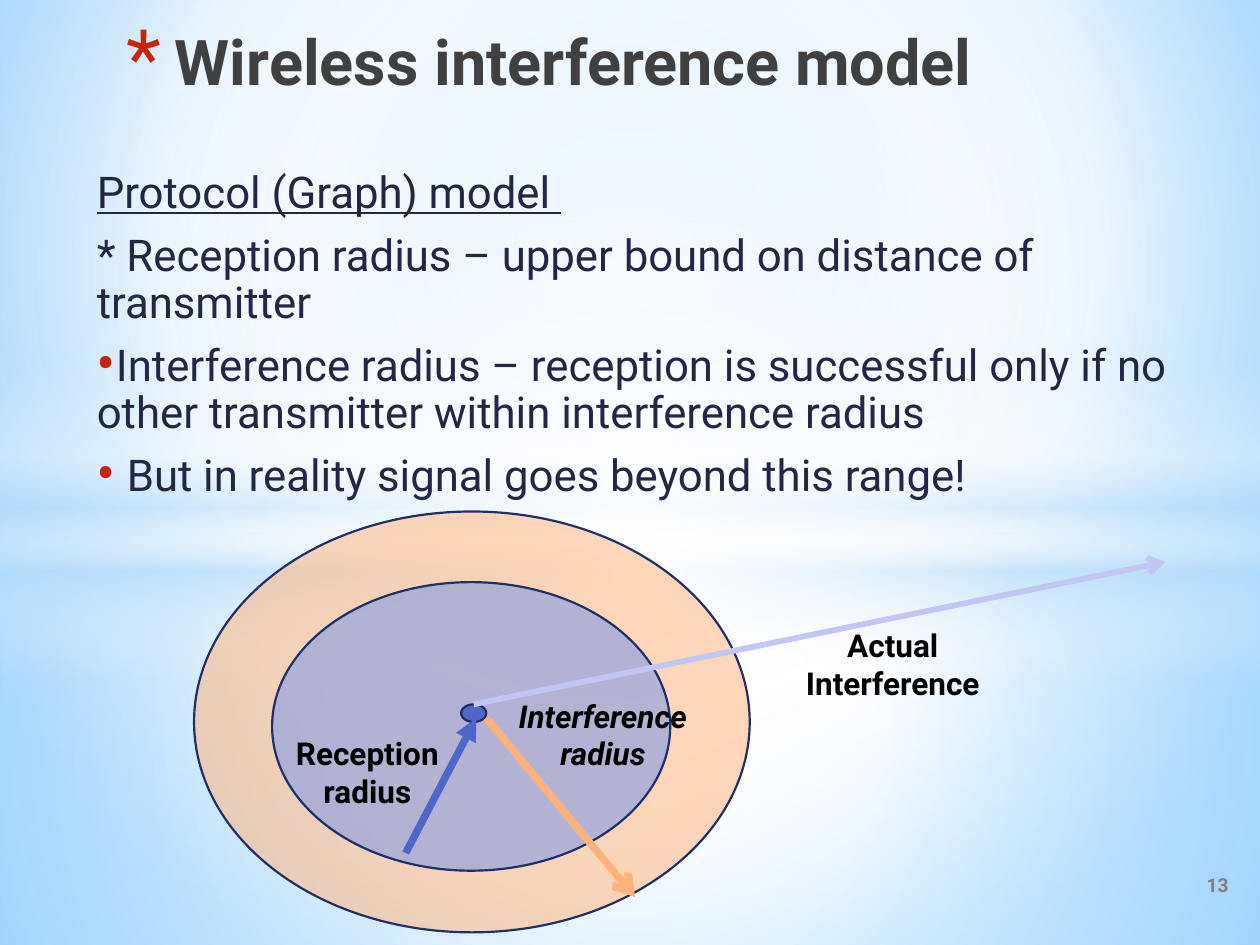
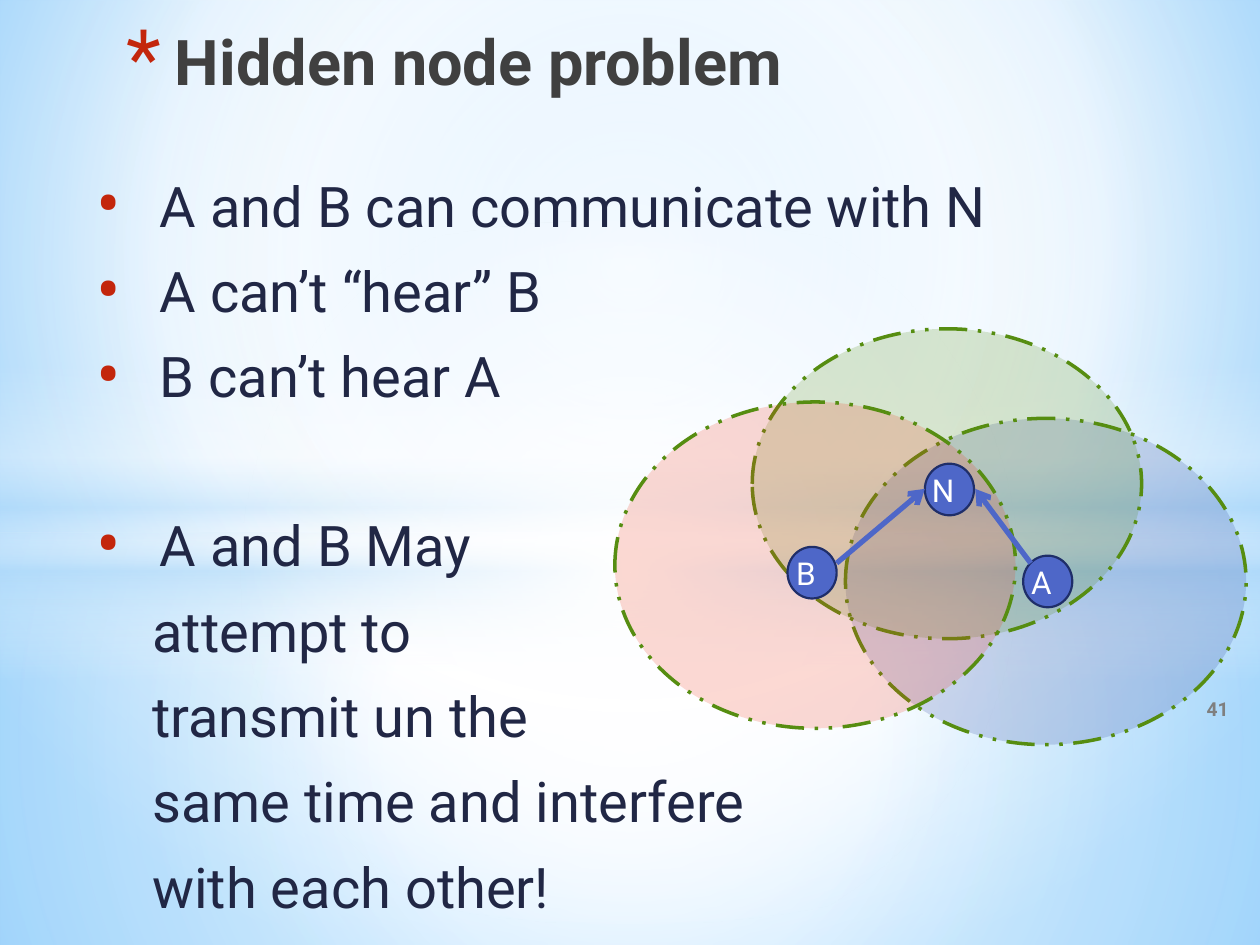
"""Builds two slides on wireless interference and the hidden node problem."""
from lxml import etree
from pptx import Presentation
from pptx.dml.color import RGBColor
from pptx.enum.dml import MSO_LINE
from pptx.enum.shapes import MSO_CONNECTOR, MSO_SHAPE
from pptx.enum.text import MSO_ANCHOR, PP_ALIGN
from pptx.oxml.ns import qn
from pptx.util import Inches, Pt

OVAL, RECTANGLE = MSO_SHAPE.OVAL, MSO_SHAPE.RECTANGLE
STRAIGHT = MSO_CONNECTOR.STRAIGHT
DASHES = MSO_LINE.DASH_DOT_DOT
LEFT, CENTER, RIGHT = PP_ALIGN.LEFT, PP_ALIGN.CENTER, PP_ALIGN.RIGHT
TOP, MIDDLE = MSO_ANCHOR.TOP, MSO_ANCHOR.MIDDLE

FONT = "Roboto"
COLORS = {
    "sky": "9ED5FF", "deep_sky": "5BB9FF", "mist": "B4DCFA", "white": "FFFFFF",
    "title": "404040", "body": "212745", "bullet": "C3260C", "black": "000000",
    "number": "7F7F7F", "node": "4E67C8", "outline": "1F2E69",
    "orange": "FFB37A", "lavender": "95A4DE", "pale": "C1C7F2",
    "navy": "31489F", "green": "568D11", "red": "F14124",
}
CENTERED = (50, 50, 50, 50)
BACKGROUND = [(0, "sky", 100), (60, "white", 100), (100, "deep_sky", 100)]
BACKGROUND_FOCUS = (20, 10, 20, 60)
LAYERS = [
    (RECTANGLE, (0, 4.23, 10, 3.27), CENTERED,
     [(0, "white", 91), (37, "white", 76), (100, "mist", 79)]),
    (RECTANGLE, (0, 0, 10, 4.23), CENTERED,
     [(0, "white", 89), (48, "white", 62), (100, "mist", 79)]),
    (RECTANGLE, (0, 2.9, 10, 2.5), None,
     [(0, "white", 0), (29, "white", 30), (45, "mist", 40),
      (55, "white", 26), (65, "mist", 60), (100, "white", 0)]),
    (OVAL, (0, 1.75, 10, 5.58), CENTERED,
     [(0, "white", 100), (54, "white", 0)]),
]
TITLE_BOX = (0.91, 0.13, 8.27, 1.1)
BODY_BOX = (0.67, 1.31, 8.98, 3.23)

MODEL = {
    "title": "Wireless interference model",
    "number": ("13", (6.18, 6.82, 3.67, 0.4)),
    "size": 25, "line_spacing": 0.9, "hanging": 0, "continuation": 0,
    "body": [
        ("Protocol (Graph) model ", False),
        ("* Reception radius – upper bound on distance of transmitter", False),
        ("Interference radius – reception is successful only if no other "
         "transmitter within interference radius", True),
        (" But in reality signal goes beyond this range!", True),
    ],
}
RANGES = [
    ((1.54, 4.06, 4.41, 3.34), "orange", 52),
    ((2.16, 4.62, 3.16, 2.29), "lavender", 70),
    ((3.66, 5.59, 0.2, 0.14), "node", 100),
]
RADIUS_ARROWS = [
    ((3.22, 6.77), (3.78, 5.7), "node", 4.25, "triangle"),
    ((3.86, 5.7), (5.04, 7.12), "orange", 4.25, "arrow"),
    ((3.76, 5.59), (9.25, 4.46), "pale", 3.25, "arrow"),
]
RADIUS_LABELS = [
    (["Reception", "radius"], (2.19, 5.78, 1.45, 0.7), False),
    (["Interference", "radius"], (3.94, 5.48, 1.69, 0.7), True),
    (["Actual", "Interference"], (6.24, 4.92, 1.69, 0.7), False),
]

HIDDEN_NODE = {
    "title": "Hidden node problem",
    "number": ("41", (6.98, 5.46, 2.87, 0.33)),
    "size": 32, "line_spacing": 1, "hanging": 0.5, "continuation": 0.44,
    "body": [
        ("A and B can communicate with N", True),
        ("A can’t “hear” B", True),
        ("B can’t hear A", True),
        ("A and B May", True),
        ("attempt to", False),
        ("transmit un the", False),
        ("same time and interfere", False),
        ("with each other!", False),
    ],
}
CONCLUSION_INDEX = 3
CELLS = [
    ((6.71, 3.32, 3.18, 2.59), "navy"),
    ((5.97, 2.61, 3.09, 2.46), "green"),
    ((4.88, 3.19, 3.18, 2.59), "red"),
]
NODE_SIZE = (0.39, 0.41)
NODES = [("A", 8.12, 4.41), ("B", 6.25, 4.34), ("N", 7.34, 3.68)]
NODE_ARROWS = [((6.64, 4.47), (7.34, 3.88)), ((8.18, 4.47), (7.74, 3.88))]


def rgb(name):
    return RGBColor.from_string(COLORS[name])


def add_element(parent, tag, **attributes):
    element = etree.SubElement(parent, qn(tag))
    for key, value in attributes.items():
        element.set(key, str(value))
    return element


def apply_gradient(owner, fill, stops, focus):
    fill.gradient()
    gradient = owner.element.xpath(".//a:gradFill")[0]
    gradient.clear()
    gradient.set("rotWithShape", "1")
    stop_list = add_element(gradient, "a:gsLst")
    for position, color, opacity in stops:
        stop = add_element(stop_list, "a:gs", pos=position * 1000)
        value = add_element(stop, "a:srgbClr", val=COLORS[color])
        if opacity < 100:
            add_element(value, "a:alpha", val=opacity * 1000)
    if focus:
        sides = {side: part * 1000 for side, part in zip("ltrb", focus)}
        add_element(add_element(gradient, "a:path", path="circle"), "a:fillToRect", **sides)
    else:
        add_element(gradient, "a:lin", ang=90 * 60000, scaled=0)


def add_plain_shape(slide, kind, box):
    shape = slide.shapes.add_shape(kind, *map(Inches, box))
    shape.shadow.inherit = False
    return shape


def add_oval(slide, box, color, opacity=100, outline="outline", width=1.25):
    shape = add_plain_shape(slide, OVAL, box)
    shape.fill.solid()
    shape.fill.fore_color.rgb = rgb(color)
    if opacity < 100:
        value = shape.element.xpath("./p:spPr/a:solidFill/a:srgbClr")[0]
        add_element(value, "a:alpha", val=opacity * 1000)
    shape.line.color.rgb = rgb(outline)
    shape.line.width = Pt(width)
    return shape


def add_arrow(slide, start, end, color, width, head):
    connector = slide.shapes.add_connector(STRAIGHT, *map(Inches, start + end))
    connector.line.color.rgb = rgb(color)
    connector.line.width = Pt(width)
    line = connector.element.xpath("./p:spPr/a:ln")[0]
    add_element(line, "a:tailEnd", type=head)
    add_element(connector.element.spPr, "a:effectLst")


def write_lines(shape, lines, size, color, align=LEFT, bold=False, anchor=TOP):
    frame = shape.text_frame
    frame.word_wrap = True
    frame.vertical_anchor = anchor
    frame.text = "\n".join(lines)
    for paragraph in frame.paragraphs:
        paragraph.alignment = align
        for run in paragraph.runs:
            run.font.name = FONT
            run.font.size = Pt(size)
            run.font.bold = bold
            run.font.color.rgb = rgb(color)
    return frame.paragraphs


def add_text(slide, box, lines, size, color, **options):
    shape = slide.shapes.add_textbox(*map(Inches, box))
    return write_lines(shape, lines, size, color, **options)


def set_indent(paragraph, margin, hanging=0):
    properties = paragraph._p.get_or_add_pPr()
    properties.set("marL", str(Inches(margin)))
    properties.set("indent", str(-Inches(hanging)))
    return properties


def add_bullet(paragraph, character, percent, hanging):
    properties = set_indent(paragraph, hanging, hanging)
    add_element(add_element(properties, "a:buClr"), "a:srgbClr", val=COLORS["bullet"])
    add_element(properties, "a:buSzPct", val=percent * 1000)
    add_element(properties, "a:buFont", typeface=FONT)
    add_element(properties, "a:buChar", char=character)


def add_base_slide(presentation, content):
    slide = presentation.slides.add_slide(presentation.slide_layouts[6])
    apply_gradient(slide, slide.background.fill, BACKGROUND, BACKGROUND_FOCUS)
    for kind, box, focus, stops in LAYERS:
        layer = add_plain_shape(slide, kind, box)
        layer.line.fill.background()
        apply_gradient(layer, layer.fill, stops, focus)

    size = content["size"]
    lines = [line for line, _ in content["body"]]
    paragraphs = add_text(slide, BODY_BOX, lines, size, "body")
    for paragraph, (_, bulleted) in zip(paragraphs, content["body"]):
        paragraph.line_spacing = content["line_spacing"]
        paragraph.space_before = Pt(size * 0.23)
        paragraph.space_after = Pt(3)
        if bulleted:
            add_bullet(paragraph, "•", 130, content["hanging"])
        else:
            set_indent(paragraph, content["continuation"])

    title = add_text(slide, TITLE_BOX, [content["title"]], 36, "title", bold=True)
    add_bullet(title[0], "*", 128, 0.38)
    number, box = content["number"]
    add_text(slide, box, [number], 11, "number", align=RIGHT, bold=True, anchor=MIDDLE)
    return slide, paragraphs


def build_interference_model(presentation):
    slide, paragraphs = add_base_slide(presentation, MODEL)
    paragraphs[0].runs[0].font.underline = True
    for box, color, opacity in RANGES:
        add_oval(slide, box, color, opacity)
    for arrow in RADIUS_ARROWS:
        add_arrow(slide, *arrow)
    for lines, box, italic in RADIUS_LABELS:
        for paragraph in add_text(slide, box, lines, 18, "black", align=CENTER, bold=True):
            paragraph.runs[0].font.italic = italic


def build_hidden_node(presentation):
    slide, paragraphs = add_base_slide(presentation, HIDDEN_NODE)
    paragraphs[CONCLUSION_INDEX].space_before = Pt(55)
    for box, color in CELLS:
        cell = add_oval(slide, box, color, 20, "green", 2)
        cell.line.dash_style = DASHES
    for name, left, top in NODES:
        node = add_oval(slide, (left, top) + NODE_SIZE, "node")
        write_lines(node, [name], 18, "white", align=CENTER, anchor=MIDDLE)
        frame = node.text_frame
        frame.word_wrap = False
        frame.margin_left = frame.margin_top = frame.margin_bottom = 0
        frame.margin_right = Inches(0.1)
    for start, end in NODE_ARROWS:
        add_arrow(slide, start, end, "node", 3, "arrow")


def main():
    presentation = Presentation()
    presentation.slide_width = Inches(10)
    presentation.slide_height = Inches(7.5)
    build_interference_model(presentation)
    build_hidden_node(presentation)
    presentation.save("out.pptx")


if __name__ == "__main__":
    main()
